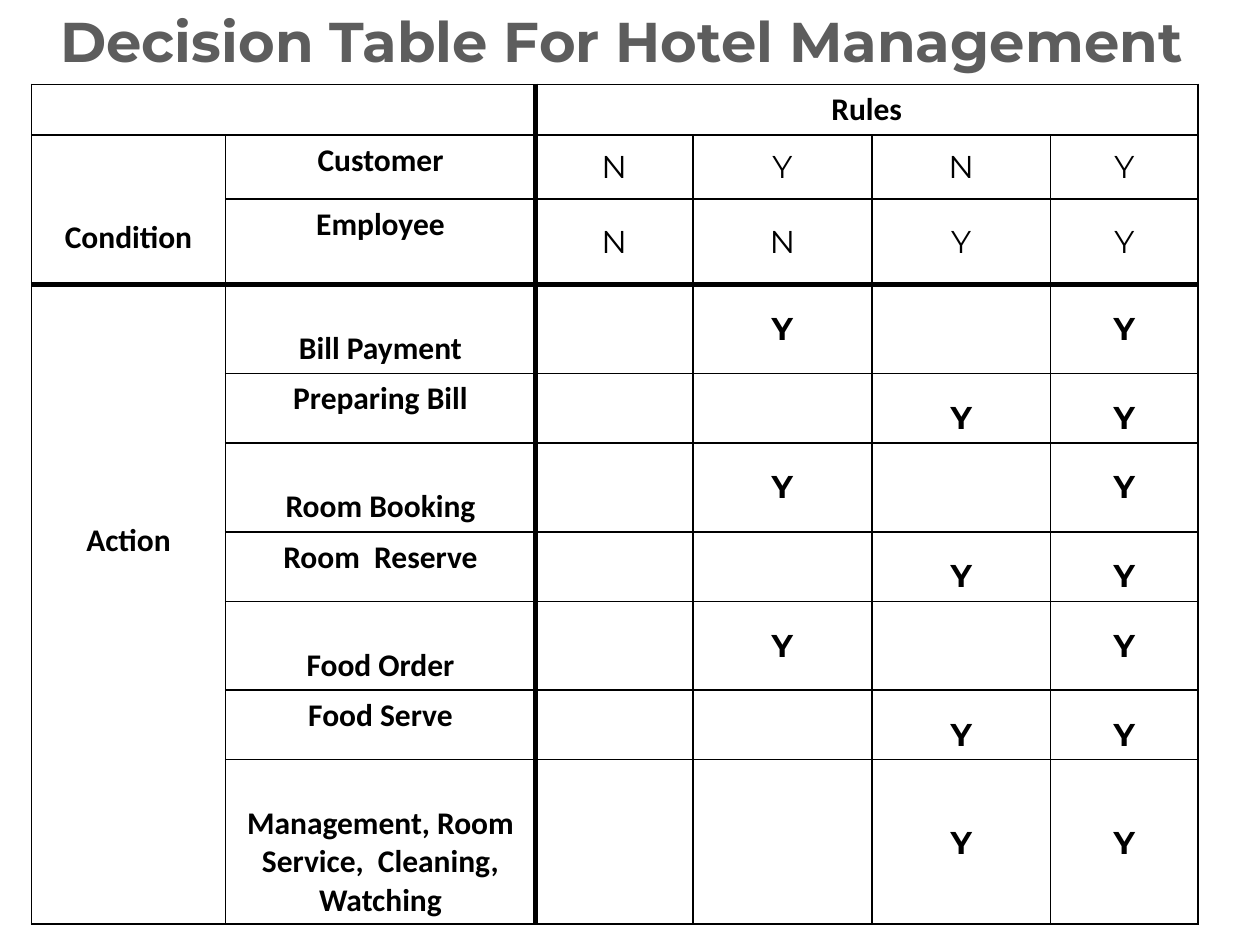
from dataclasses import dataclass

from lxml import etree
from pptx import Presentation
from pptx import util as u
from pptx.dml.color import RGBColor
from pptx.enum import text
from pptx.oxml import ns

COLORS = {"title": "5D5D5D", "ink": "000000"}
BODY, DISPLAY = "Calibri", "Montserrat"
LINE = 22
INSET = 3.6
RULE_COL = 2
ACTION_ROW = 3
THIN, THICK = 1, 3
COLS = [110.9, 177.1, 90, 102.2, 102.2, 84.2]
ROWS = [25.9, 36.7, 49, 46.1, 36.7, 46.1, 36.7, 46.1, 36.7, 85]


@dataclass
class Entry:
    label: str
    rules: str
    drop: int = 0
    rule_drop: int = 0


@dataclass
class Heading:
    label: str
    first: tuple
    last: tuple
    drop: int = 0


ENTRIES = [
    Entry("Customer", "NYNY"),
    Entry("Employee", "NNYY"),
    Entry("Bill Payment", " Y Y", 1),
    Entry("Preparing Bill", "  YY"),
    Entry("Room Booking", " Y Y", 1),
    Entry("Room \u00a0Reserve", "  YY"),
    Entry("Food Order", " Y Y", 1),
    Entry("Food Serve", "  YY"),
    Entry("Management, Room Service,  Cleaning, Watching", "  YY", 1, 1),
]
HEADINGS = [
    Heading("", (0, 0), (0, 1)),
    Heading("Rules", (0, 2), (0, 5)),
    Heading("Condition", (1, 0), (2, 0), 2),
    Heading("Action", (3, 0), (9, 0), 6),
]


def write(tf, content: str, font: str, size: float, color: str, bold: bool = True,
          spacing: float | None = None) -> None:
    p = tf.paragraphs[0]
    p.alignment = text.PP_ALIGN.CENTER
    if spacing:
        p.line_spacing = spacing
    r = p.add_run()
    r.text = content
    r.font.name = font
    r.font.size = u.Pt(size)
    r.font.bold = bold
    r.font.color.rgb = RGBColor.from_string(COLORS[color])


def fill_cell(cell, content: str, font: str = BODY, drop: int = 0, bold: bool = True,
              spacing: float | None = None) -> None:
    cell.margin_top = u.Pt(INSET + drop * LINE)
    if content.strip():
        write(cell.text_frame, content, font, 18, "ink", bold, spacing)


def add_borders(cell, row: int, col: int) -> None:
    tc_pr = cell._tc.get_or_add_tcPr()
    heavy = {
        "lnL": col == RULE_COL,
        "lnR": col + cell.span_width == RULE_COL,
        "lnT": row == ACTION_ROW,
        "lnB": row + cell.span_height == ACTION_ROW,
    }
    for tag, is_heavy in heavy.items():
        width = u.Pt(THICK if is_heavy else THIN)
        ln = etree.SubElement(tc_pr, ns.qn("a:" + tag), w=str(int(width)))
        solid = etree.SubElement(ln, ns.qn("a:solidFill"))
        etree.SubElement(solid, ns.qn("a:srgbClr"), val=COLORS["ink"])


def add_title(slide) -> None:
    sp = slide.shapes.add_textbox(u.Pt(0), u.Pt(0), u.Pt(720), u.Pt(46))
    tf = sp.text_frame
    tf.word_wrap = True
    write(tf, "Decision Table For Hotel Management ", DISPLAY, 32, "title")


def add_decision_table(slide) -> None:
    frame = slide.shapes.add_table(len(ROWS), len(COLS), u.Pt(18), u.Pt(48.2),
                                   u.Pt(sum(COLS)), u.Pt(486))
    table = frame.table
    table.first_row = False
    table.horz_banding = False
    for column, width in zip(table.columns, COLS):
        column.width = u.Pt(width)
    for row, height in zip(table.rows, ROWS):
        row.height = u.Pt(height)
    frame.height = u.Pt(486)

    for heading in HEADINGS:
        cell = table.cell(*heading.first)
        cell.merge(table.cell(*heading.last))
        fill_cell(cell, heading.label, drop=heading.drop)

    for row, entry in enumerate(ENTRIES, 1):
        fill_cell(table.cell(row, 1), entry.label, drop=entry.drop)
        is_action = row >= ACTION_ROW
        for col, mark in enumerate(entry.rules, RULE_COL):
            cell = table.cell(row, col)
            fill_cell(cell, mark, DISPLAY, entry.rule_drop if mark.strip() else 0,
                      is_action, 1.5 if is_action else None)
            if not is_action:
                cell.vertical_anchor = text.MSO_ANCHOR.MIDDLE

    for row in range(len(ROWS)):
        for col in range(len(COLS)):
            cell = table.cell(row, col)
            add_borders(cell, row, col)
            cell.fill.background()


prs = Presentation()
prs.slide_width, prs.slide_height = u.Pt(720), u.Pt(540)
slide = prs.slides.add_slide(prs.slide_layouts[6])
add_title(slide)
add_decision_table(slide)
prs.save("out.pptx")
